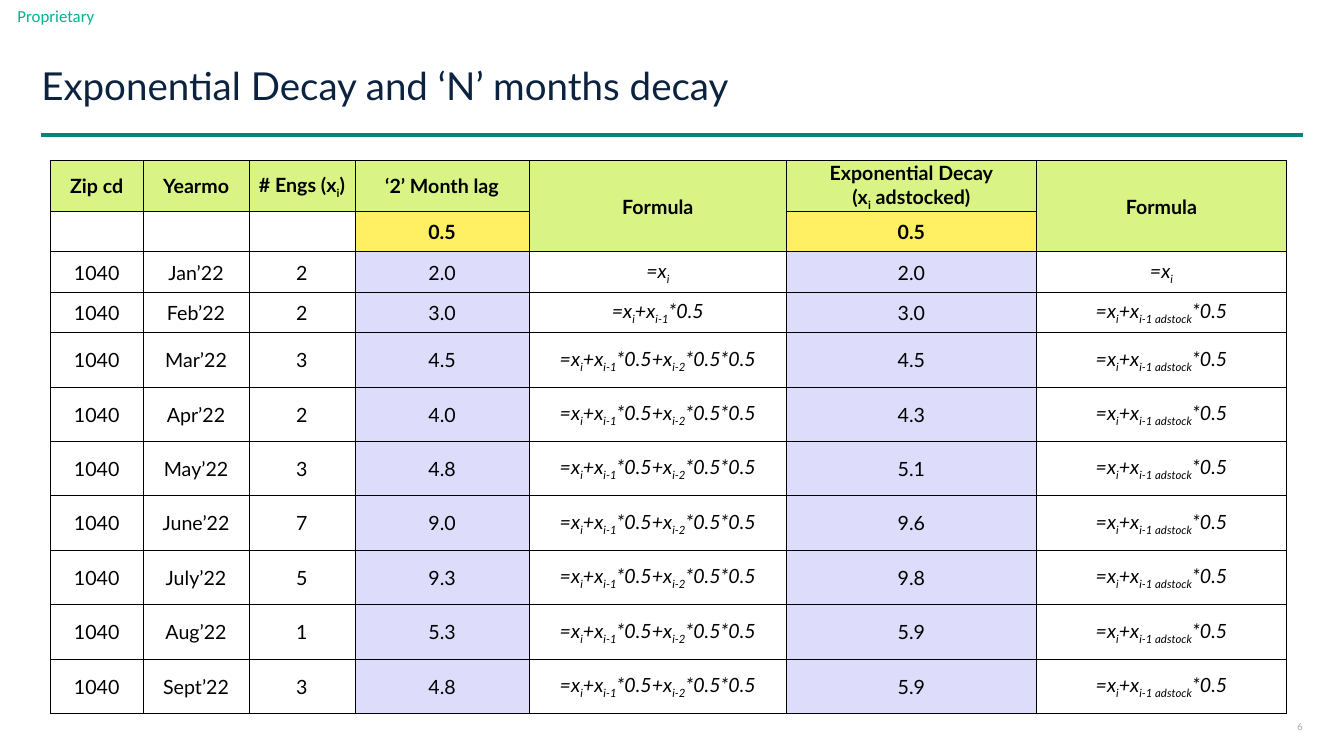
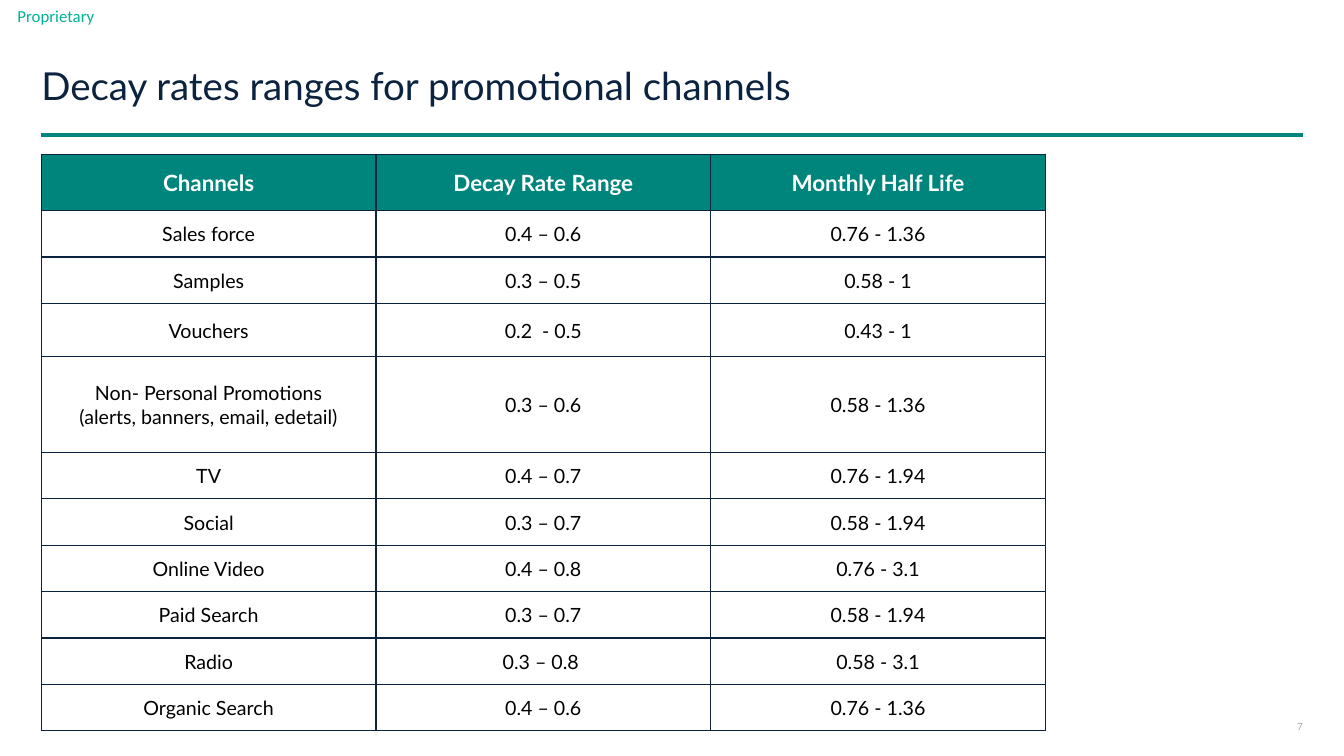
from lxml import etree
from pptx import Presentation
from pptx.dml.color import RGBColor
from pptx.enum import shapes, text
from pptx.oxml import ns
from pptx.util import Inches, Pt

TEAL, NAVY, MINT, GREY = "00857C", "0C2340", "00B294", "9EA7B3"
BLACK, WHITE = "000000", "FFFFFF"
LIME, YELLOW, LILAC = "D9F485", "FFF063", "DDDCFA"
LEFT, CENTER, RIGHT = text.PP_ALIGN.LEFT, text.PP_ALIGN.CENTER, text.PP_ALIGN.RIGHT


def write(tf, content, size, color, align=CENTER, font="Lato", bold=False, italic=False):
    """Each line is a paragraph; parts between bars are subscripts."""
    tf.word_wrap = True
    for n, line in enumerate(content.split("\n")):
        p = tf.add_paragraph() if n else tf.paragraphs[0]
        p.alignment = align
        for k, part in enumerate(line.split("|")):
            r = p.add_run()
            r.text = part
            r.font.size, r.font.name = Pt(size), font
            r.font.bold, r.font.italic = bold, italic
            r.font.color.rgb = RGBColor.from_string(color)
            if k % 2:
                r._r.get_or_add_rPr().set("baseline", "-25000")


def add_grid(s, left, top, widths, heights, rows, border, weight):
    """Each cell is (text, fill, text style)."""
    frame = s.shapes.add_table(len(rows), len(widths), Inches(left), Inches(top),
                               Inches(sum(widths)), Inches(sum(heights)))
    table = frame.table
    table.first_row = table.horz_banding = False
    for col, width in zip(table.columns, widths):
        col.width = Inches(width)
    for i, row in enumerate(rows):
        table.rows[i].height = Inches(heights[i])
        for j, (content, fill, style) in enumerate(row):
            cell = table.cell(i, j)
            cell.margin_left = cell.margin_right = cell.margin_top = Inches(0.01)
            cell.margin_bottom = 0
            cell.vertical_anchor = text.MSO_ANCHOR.MIDDLE
            cell.fill.solid()
            cell.fill.fore_color.rgb = RGBColor.from_string(fill)
            if content:
                write(cell.text_frame, content, **style)
            # Borders come before the fill in the cell properties
            tcPr = cell._tc.get_or_add_tcPr()
            for k, side in enumerate(("lnL", "lnR", "lnT", "lnB")):
                ln = etree.Element(ns.qn("a:" + side), w=str(Pt(weight)))
                solid = etree.SubElement(ln, ns.qn("a:solidFill"))
                etree.SubElement(solid, ns.qn("a:srgbClr"), val=border)
                tcPr.insert(k, ln)
    return table


prs = Presentation()
prs.slide_width, prs.slide_height = Inches(13.33), Inches(7.5)

# Shared frame: title, rule, label and page number
titles = ["Exponential Decay and ‘N’ months decay",
          "Decay rates ranges for promotional channels"]
for page, title in enumerate(titles, start=6):
    s = prs.slides.add_slide(prs.slide_layouts[5])
    rule = s.shapes.add_connector(shapes.MSO_CONNECTOR.STRAIGHT, Inches(0.41), Inches(1.34),
                                  Inches(12.92), Inches(1.34))
    rule.line.color.rgb = RGBColor.from_string(TEAL)
    rule.line.width = Pt(2.5)
    etree.SubElement(rule._element.spPr, ns.qn("a:effectLst"))

    label = s.shapes.add_textbox(0, 0, Inches(1.11), Inches(0.32))
    number = s.shapes.add_textbox(Inches(12.67), Inches(7.09), Inches(0.25), Inches(0.24))
    sp = s.shapes.title
    sp.left, sp.top, sp.width, sp.height = Inches(0.41), Inches(0.41), Inches(12.51), Inches(0.93)
    for box in (label, number, sp):
        tf = box.text_frame
        tf.margin_left = tf.margin_right = tf.margin_top = tf.margin_bottom = 0
        tf.vertical_anchor = text.MSO_ANCHOR.MIDDLE
        tf.auto_size = text.MSO_AUTO_SIZE.NONE
    write(label.text_frame, "Proprietary", 12, MINT, font="Calibri")
    write(number.text_frame, str(page), 7, GREY, align=RIGHT)
    write(sp.text_frame, title, 27.5, NAVY, align=LEFT)
    sp.text_frame.paragraphs[0].line_spacing = 0.9

decay, ranges = prs.slides
body = dict(size=14, color=BLACK)
strong = dict(body, bold=True)
formula = dict(body, italic=True)

# Slide 1: monthly decay table
heads = ["Zip cd", "Yearmo", "# Engs (x|i|)", "‘2’ Month lag", "Formula",
         "Exponential Decay\n(x|i| adstocked)", "Formula"]
rates = ["", "", "", "0.5", "", "0.5", ""]
rows = [[(head, LIME, strong) for head in heads],
        [(rate, YELLOW if rate else WHITE, strong) for rate in rates]]
months = [("Jan’22", "2", "2.0", "2.0"), ("Feb’22", "2", "3.0", "3.0"),
          ("Mar’22", "3", "4.5", "4.5"), ("Apr’22", "2", "4.0", "4.3"),
          ("May’22", "3", "4.8", "5.1"), ("June’22", "7", "9.0", "9.6"),
          ("July’22", "5", "9.3", "9.8"), ("Aug’22", "1", "5.3", "5.9"),
          ("Sept’22", "3", "4.8", "5.9")]
lag_formulas = ["=x|i|", "=x|i|+x|i-1|*0.5", "=x|i|+x|i-1|*0.5+x|i-2|*0.5*0.5"]
stock_formulas = ["=x|i|", "=x|i|+x|i-1 adstock|*0.5"]
for n, (month, engs, lag, stock) in enumerate(months):
    rows.append([("1040", WHITE, body), (month, WHITE, body), (engs, WHITE, body),
                 (lag, LILAC, body), (lag_formulas[min(n, 2)], WHITE, formula),
                 (stock, LILAC, body), (stock_formulas[min(n, 1)], WHITE, formula)])
table = add_grid(decay, 0.5, 1.59, [0.92, 1.05, 1.05, 1.73, 2.55, 2.48, 2.48],
                 [0.5] + [0.4] * 3 + [0.54] * 7, rows, BLACK, 0.5)
for col in (4, 6):
    table.cell(0, col).merge(table.cell(1, col))

# Slide 2: decay rates by channel
header = dict(size=16, color=WHITE, bold=True)
channels = [("Sales force", "0.4 – 0.6", "0.76 - 1.36"),
            ("Samples", "0.3 – 0.5", "0.58 - 1"),
            ("Vouchers", "0.2  - 0.5", "0.43 - 1"),
            ("Non- Personal Promotions\n(alerts, banners, email, edetail)",
             "0.3 – 0.6", "0.58 - 1.36"),
            ("TV", "0.4 – 0.7", "0.76 - 1.94"),
            ("Social", "0.3 – 0.7", "0.58 - 1.94"),
            ("Online Video", "0.4 – 0.8", "0.76 - 3.1"),
            ("Paid Search", "0.3 – 0.7", "0.58 - 1.94"),
            ("Radio", "0.3 – 0.8 ", "0.58 - 3.1"),
            ("Organic Search", "0.4 – 0.6", "0.76 - 1.36")]
rows = [[(head, TEAL, header) for head in ("Channels", "Decay Rate Range", "Monthly Half Life")]]
rows += [[(value, WHITE, body) for value in channel] for channel in channels]
add_grid(ranges, 0.41, 1.53, [3.32] * 3, [0.56, 0.46, 0.46, 0.53, 0.95] + [0.46] * 6,
         rows, NAVY, 1)

prs.save("out.pptx")
